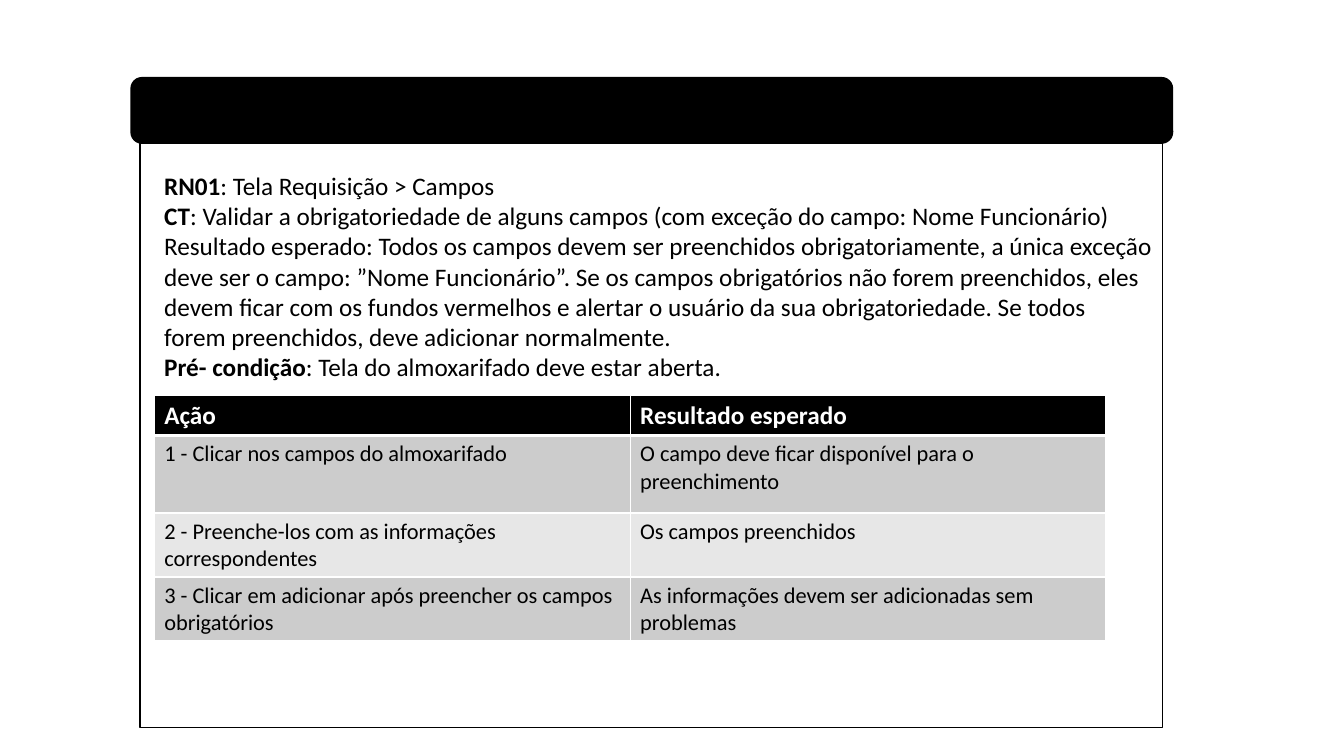
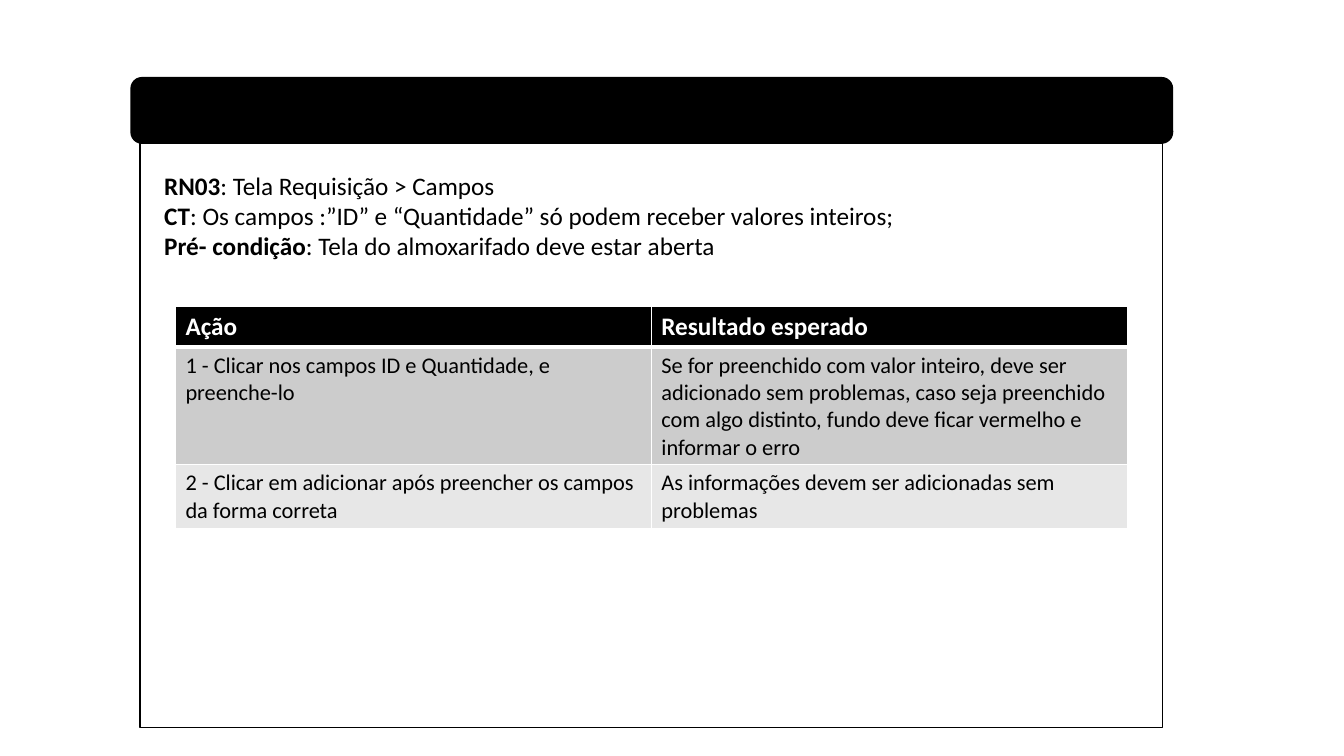
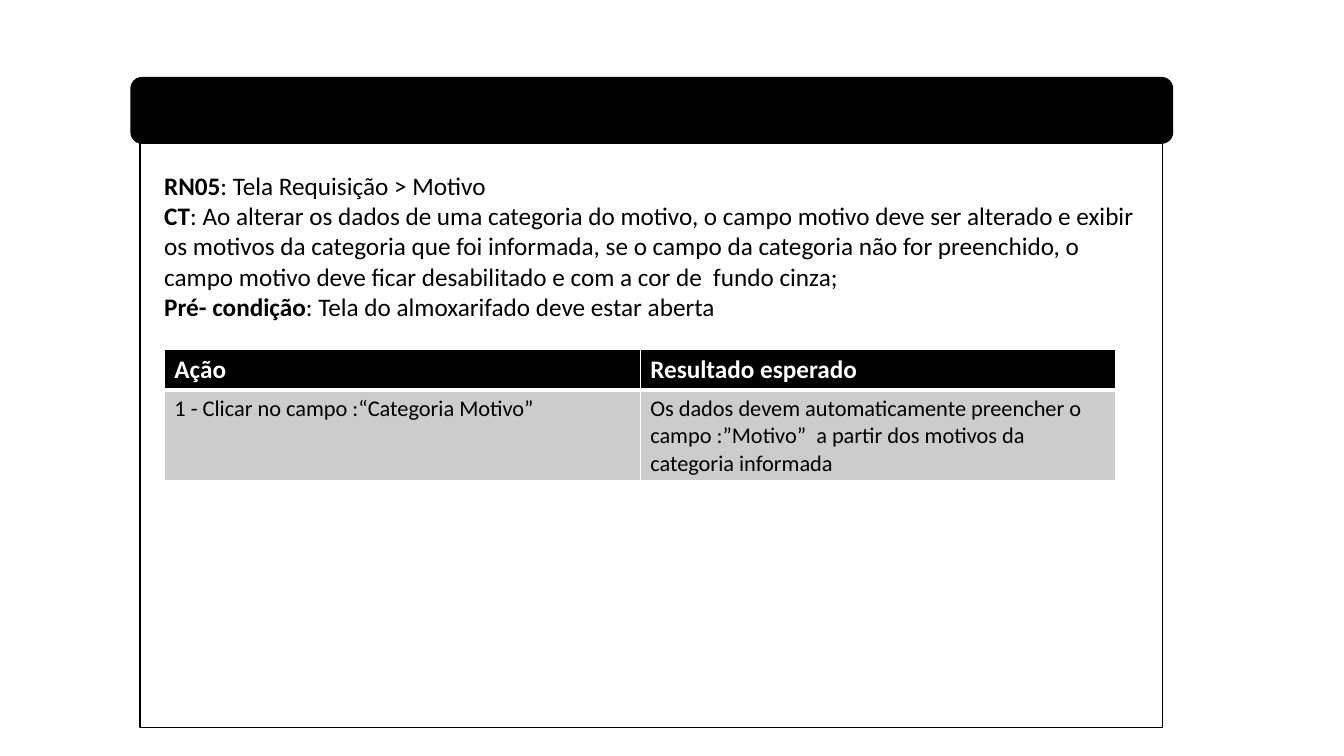
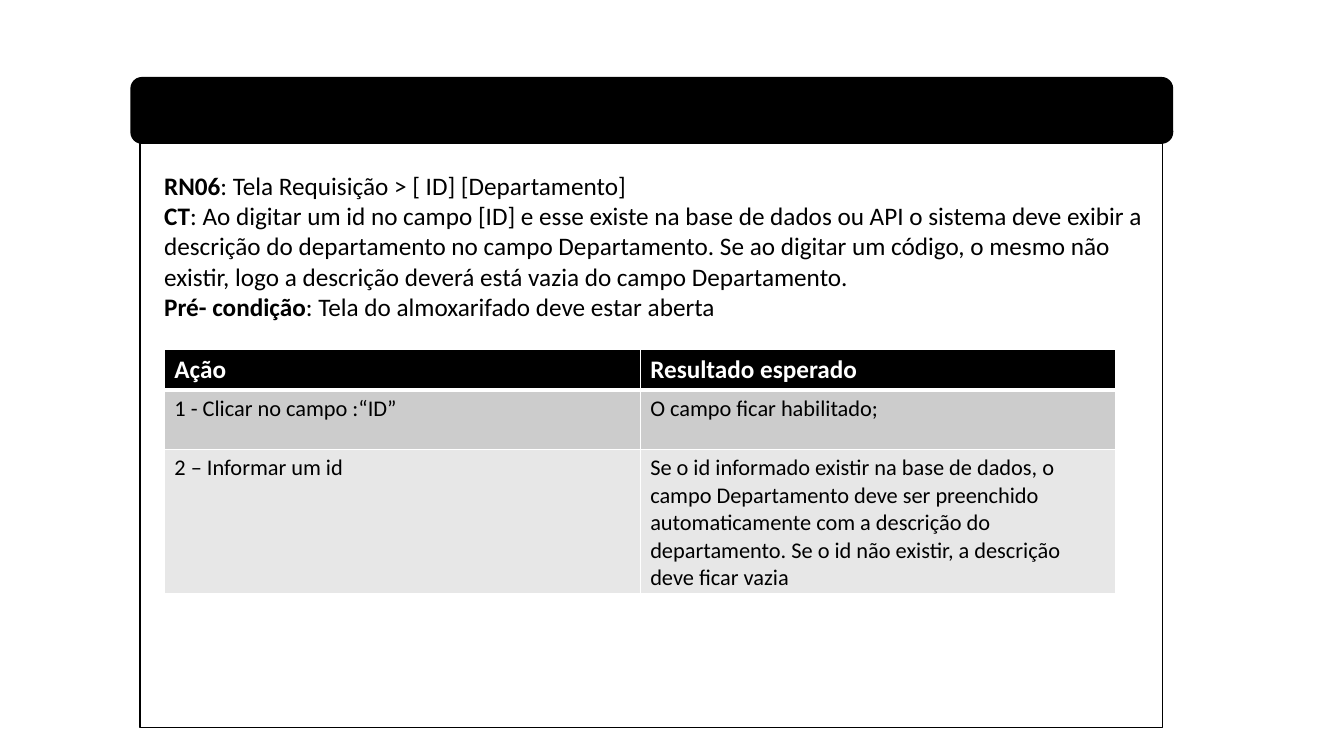
"""Builds four test-case slides, each with a rule statement and a table of steps."""
from lxml import etree
from pptx import Presentation
from pptx.dml.color import RGBColor
from pptx.enum.shapes import MSO_SHAPE as Shape
from pptx.enum.text import MSO_AUTO_SIZE as AutoSize
from pptx.oxml.ns import qn
from pptx.util import Inches, Pt

COLORS = {"black": "000000", "white": "FFFFFF", "odd_row": "CCCCCC", "even_row": "E7E7E7"}
FONT = "Calibri"
HEADERS = ("Ação", "Resultado esperado")
HEADER_HEIGHT = 0.3
COLUMN_WIDTH = 4.72
PRECONDITION = ": Tela do almoxarifado deve estar aberta"

CASES = [
    {
        "statement": [
            ("RN01", ": Tela Requisição > Campos"),
            ("CT", ": Validar a obrigatoriedade de alguns campos (com exceção do campo: Nome Funcionário)"),
            ("", "Resultado esperado: Todos os campos devem ser preenchidos obrigatoriamente, a única exceção "
                 "deve ser o campo: ”Nome Funcionário”. Se os campos obrigatórios não forem preenchidos, eles "
                 "devem ficar com os fundos vermelhos e alertar o usuário da sua obrigatoriedade. Se todos "
                 "forem preenchidos, deve adicionar normalmente."),
            ("Pré- condição", PRECONDITION + "."),
        ],
        "statement_height": 2.56,
        "table_at": (1.53, 3.92),
        "steps": [
            (0.77, "1 - Clicar nos campos do almoxarifado",
             "O campo deve ficar disponível para o preenchimento"),
            (0.53, "2 - Preenche-los com as informações correspondentes", "Os campos preenchidos"),
            (0.53, "3 - Clicar em adicionar após preencher os campos obrigatórios",
             "As informações devem ser adicionadas sem problemas"),
        ],
    },
    {
        "statement": [
            ("RN03", ": Tela Requisição > Campos"),
            ("CT", ": Os campos :”ID” e “Quantidade” só podem receber valores inteiros;"),
            ("Pré- condição", PRECONDITION),
        ],
        "statement_height": 1.01,
        "table_at": (1.74, 3.04),
        "steps": [
            (0.77, "1 - Clicar nos campos ID e Quantidade, e preenche-lo",
             "Se for preenchido com valor inteiro, deve ser adicionado sem problemas, caso seja preenchido "
             "com algo distinto, fundo deve ficar vermelho e informar o erro"),
            (0.53, "2 - Clicar em adicionar após preencher os campos da forma correta",
             "As informações devem ser adicionadas sem problemas"),
        ],
    },
    {
        "statement": [
            ("RN05", ": Tela Requisição > Motivo"),
            ("CT", ": Ao alterar os dados de uma categoria do motivo, o campo motivo deve ser alterado e exibir  "
                   "os motivos da categoria que foi informada, se o campo da categoria não for preenchido, o "
                   "campo motivo deve ficar desabilitado e com a cor de  fundo cinza;"),
            ("Pré- condição", PRECONDITION),
        ],
        "statement_height": 1.62,
        "table_at": (1.63, 3.47),
        "steps": [
            (0.77, "1 - Clicar no campo :“Categoria Motivo”",
             "Os dados devem automaticamente preencher o campo :”Motivo”  a partir dos motivos da "
             "categoria informada"),
        ],
    },
    {
        "statement": [
            ("RN06", ": Tela Requisição > [ ID] [Departamento]"),
            ("CT", ": Ao digitar um id no campo [ID] e esse existe na base de dados ou API o sistema deve exibir a "
                   "descrição do departamento no campo Departamento. Se ao digitar um código, o mesmo não "
                   "existir, logo a descrição deverá está vazia do campo Departamento."),
            ("Pré- condição", PRECONDITION),
        ],
        "statement_height": 1.62,
        "table_at": (1.63, 3.47),
        "steps": [
            (0.59, "1 - Clicar no campo :“ID”", "O campo ficar habilitado;"),
            (0.77, "2 – Informar um id",
             "Se o id informado existir na base de dados, o campo Departamento deve ser preenchido "
             "automaticamente com a descrição do departamento. Se o id não existir, a descrição "
             "deve ficar vazia"),
        ],
    },
]


def add_run(para, text, size, color, bold):
    span = para.add_run()
    span.text = text
    span.font.name = FONT
    span.font.size = Pt(size)
    span.font.bold = bold
    span.font.color.rgb = RGBColor.from_string(COLORS[color])


def set_borders(cell, top, bottom):
    properties = cell._tc.get_or_add_tcPr()
    widths = {"a:lnL": 1, "a:lnR": 1, "a:lnT": top, "a:lnB": bottom}
    for position, (tag, width) in enumerate(widths.items()):
        line = etree.Element(qn(tag), w=str(Pt(width)))
        fill = etree.SubElement(line, qn("a:solidFill"))
        etree.SubElement(fill, qn("a:srgbClr"), val=COLORS["white"])
        properties.insert(position, line)


deck = Presentation()
deck.slide_width = Inches(13.33)
deck.slide_height = Inches(7.5)
blank_layout = deck.slide_layouts[6]

for case in CASES:
    page = deck.slides.add_slide(blank_layout)

    band = page.shapes.add_shape(
        Shape.ROUNDED_RECTANGLE, Inches(1.3), Inches(0.77), Inches(10.33), Inches(0.65))
    band.fill.solid()
    band.fill.fore_color.rgb = RGBColor.from_string(COLORS["black"])
    frame = page.shapes.add_shape(
        Shape.RECTANGLE, Inches(1.39), Inches(1.42), Inches(10.14), Inches(5.8))
    frame.fill.background()
    for outline in (band, frame):
        outline.shadow.inherit = False
        outline.line.color.rgb = RGBColor.from_string(COLORS["black"])
        outline.line.width = Pt(1)

    box = page.shapes.add_textbox(
        Inches(1.53), Inches(1.64), Inches(10), Inches(case["statement_height"]))
    box.text_frame.word_wrap = True
    box.text_frame.auto_size = AutoSize.SHAPE_TO_FIT_TEXT
    for index, (label, text) in enumerate(case["statement"]):
        para = box.text_frame.add_paragraph() if index else box.text_frame.paragraphs[0]
        if label:
            add_run(para, label, 18, "black", True)
        add_run(para, text, 18, "black", False)

    rows = [(HEADER_HEIGHT, *HEADERS)] + case["steps"]
    left, top = case["table_at"]
    table = page.shapes.add_table(
        len(rows), len(HEADERS), Inches(left), Inches(top),
        Inches(COLUMN_WIDTH * len(HEADERS)), Inches(sum(row[0] for row in rows))).table
    for column in table.columns:
        column.width = Inches(COLUMN_WIDTH)
    for row_index, (height, *texts) in enumerate(rows):
        table.rows[row_index].height = Inches(height)
        is_header = row_index == 0
        if is_header:
            fill_color, text_color, size = "black", "white", 18
        else:
            fill_color = "odd_row" if row_index % 2 else "even_row"
            text_color, size = "black", 16
        for column_index, text in enumerate(texts):
            cell = table.cell(row_index, column_index)
            cell.fill.solid()
            cell.fill.fore_color.rgb = RGBColor.from_string(COLORS[fill_color])
            set_borders(cell, top=3 if row_index == 1 else 1, bottom=3 if is_header else 1)
            add_run(cell.text_frame.paragraphs[0], text, size, text_color, is_header)

deck.save("out.pptx")
